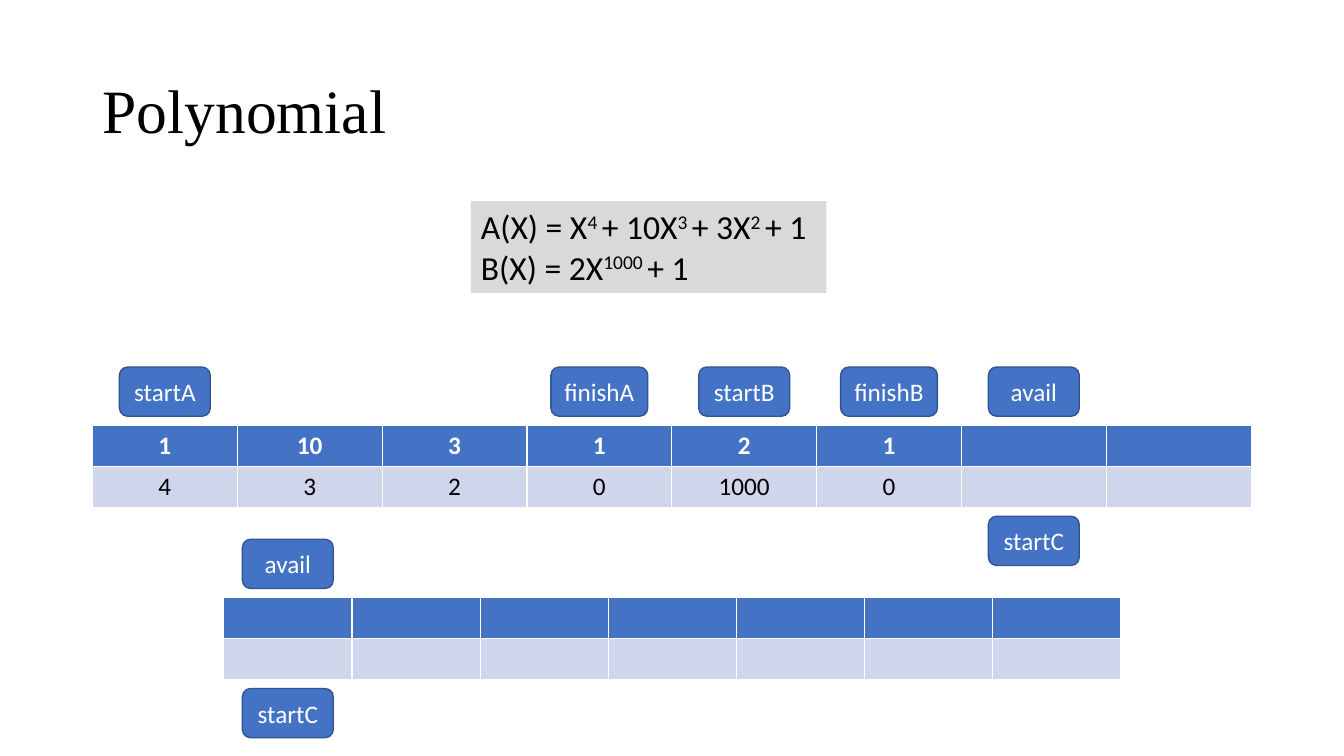
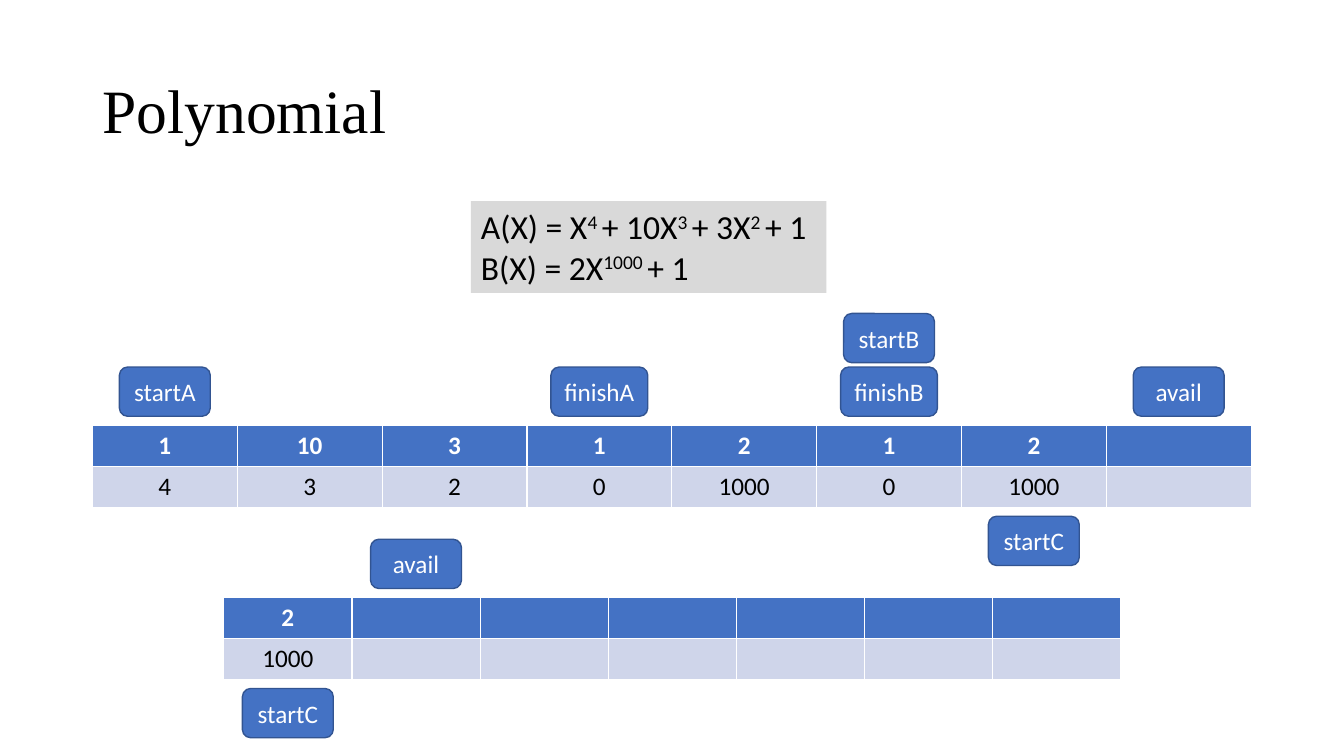
from dataclasses import dataclass

from pptx import Presentation
from pptx.dml.color import RGBColor
from pptx.enum.shapes import MSO_SHAPE as Shape
from pptx.enum.text import MSO_ANCHOR as Anchor, MSO_AUTO_SIZE as AutoSize, PP_ALIGN as Align
from pptx.util import Cm, Pt


@dataclass(frozen=True)
class Theme:
    white: RGBColor = RGBColor.from_string("FFFFFF")
    black: RGBColor = RGBColor.from_string("000000")
    blue: RGBColor = RGBColor.from_string("4472C4")
    outline: RGBColor = RGBColor.from_string("325491")
    pale: RGBColor = RGBColor.from_string("CFD5EA")
    gray: RGBColor = RGBColor.from_string("D9D9D9")
    title_font: str = "Times New Roman"
    body_font: str = "Calibri"
    title_size: int = 44
    formula_size: int = 24
    body_size: int = 18


@dataclass(frozen=True)
class Grid:
    """A two-row table, measured in centimetres."""
    left: float
    top: float
    column: float
    count: int


THEME = Theme()
TERMS = Grid(left=2.33, top=10.72, column=3.65, count=8)
RESULT = Grid(left=5.64, top=15.06, column=3.23, count=7)
ROW = 1.03
TAG_HEIGHT = 1.24
TAG_GAP = 0.23
STACK_GAP = 0.11

TITLE = "Polynomial"
# Each piece is a base text and the exponent that follows it.
FORMULAS = [
    [("A(X) = X", "4 "), ("+ 10X", "3 "), ("+ 3X", "2 "), ("+ 1", "")],
    [("B(X) = 2X", "1000 "), ("+ 1", "")],
]

# Cells are (coefficient, exponent); tags are (label, column, level),
# where level 1 and up stacks above the table and -1 hangs below it.
INPUT_TERMS = [("1", "4"), ("10", "3"), ("3", "2"), ("1", "0"), ("2", "1000"), ("1", "0")]
FIXED_TAGS = [("startA", 0, 1), ("finishA", 3, 1), ("finishB", 5, 1), ("startC", 6, -1)]
STEPS = [
    [
        (TERMS, INPUT_TERMS, FIXED_TAGS + [("startB", 4, 1), ("avail", 6, 1)]),
        (RESULT, [], [("avail", 0, 1), ("startC", 0, -1)]),
    ],
    [
        (TERMS, INPUT_TERMS + [("2", "1000")],
         FIXED_TAGS + [("startB", 5, 2), ("avail", 7, 1)]),
        (RESULT, [("2", "1000")], [("avail", 1, 1), ("startC", 0, -1)]),
    ],
]


def style(span, size, color, font=THEME.body_font, bold=False):
    span.font.name = font
    span.font.size = Pt(size)
    span.font.color.rgb = color
    span.font.bold = bold


def fill(target, color):
    target.fill.solid()
    target.fill.fore_color.rgb = color


def add_title(page):
    frame = page.shapes.add_textbox(Cm(2.33), Cm(1.01), Cm(29.21), Cm(3.68)).text_frame
    frame.word_wrap = True
    frame.vertical_anchor = Anchor.MIDDLE
    frame.text = TITLE
    para = frame.paragraphs[0]
    para.line_spacing = 0.9
    style(para.runs[0], THEME.title_size, THEME.black, THEME.title_font)


def add_formulas(page):
    box = page.shapes.add_textbox(Cm(11.87), Cm(5.07), Cm(8.96), Cm(2.31))
    fill(box, THEME.gray)
    frame = box.text_frame
    frame.word_wrap = False
    frame.auto_size = AutoSize.SHAPE_TO_FIT_TEXT
    for index, pieces in enumerate(FORMULAS):
        para = frame.add_paragraph() if index else frame.paragraphs[0]
        for base, exponent in pieces:
            for text, baseline in ((base, 0), (exponent, 30000)):
                if text:
                    span = para.add_run()
                    span.text = text
                    style(span, THEME.formula_size, THEME.black)
                    if baseline:
                        span.font._element.set("baseline", str(baseline))


def add_grid(page, grid, terms):
    table = page.shapes.add_table(
        2, grid.count, Cm(grid.left), Cm(grid.top),
        Cm(grid.column * grid.count), Cm(2 * ROW)).table
    for column in table.columns:
        column.width = Cm(grid.column)
    looks = [(THEME.blue, THEME.white, True), (THEME.pale, THEME.black, False)]
    for row, (back, ink, bold) in enumerate(looks):
        table.rows[row].height = Cm(ROW)
        for column in range(grid.count):
            cell = table.cell(row, column)
            fill(cell, back)
            if column < len(terms):
                cell.text = terms[column][row]
                para = cell.text_frame.paragraphs[0]
                para.alignment = Align.CENTER
                style(para.runs[0], THEME.body_size, ink, bold=bold)


def add_tag(page, grid, label, column, level):
    width = 2.44 if label.startswith("finish") else 2.29
    left = grid.left + (column + 0.5) * grid.column - width / 2
    if level > 0:
        top = grid.top - TAG_GAP - level * TAG_HEIGHT - (level - 1) * STACK_GAP
    else:
        top = grid.top + 2 * ROW + TAG_GAP
    tag = page.shapes.add_shape(
        Shape.ROUNDED_RECTANGLE, Cm(left), Cm(top), Cm(width), Cm(TAG_HEIGHT))
    tag.shadow.inherit = False
    fill(tag, THEME.blue)
    tag.line.color.rgb = THEME.outline
    tag.line.width = Pt(1)
    frame = tag.text_frame
    frame.vertical_anchor = Anchor.MIDDLE
    frame.text = label
    para = frame.paragraphs[0]
    para.alignment = Align.CENTER
    style(para.runs[0], THEME.body_size, THEME.white)


def main():
    deck = Presentation()
    deck.slide_width, deck.slide_height = Cm(33.87), Cm(19.05)
    for step in STEPS:
        page = deck.slides.add_slide(deck.slide_layouts[6])
        add_title(page)
        add_formulas(page)
        for grid, terms, tags in step:
            add_grid(page, grid, terms)
            for label, column, level in tags:
                add_tag(page, grid, label, column, level)
    deck.save("out.pptx")


if __name__ == "__main__":
    main()
